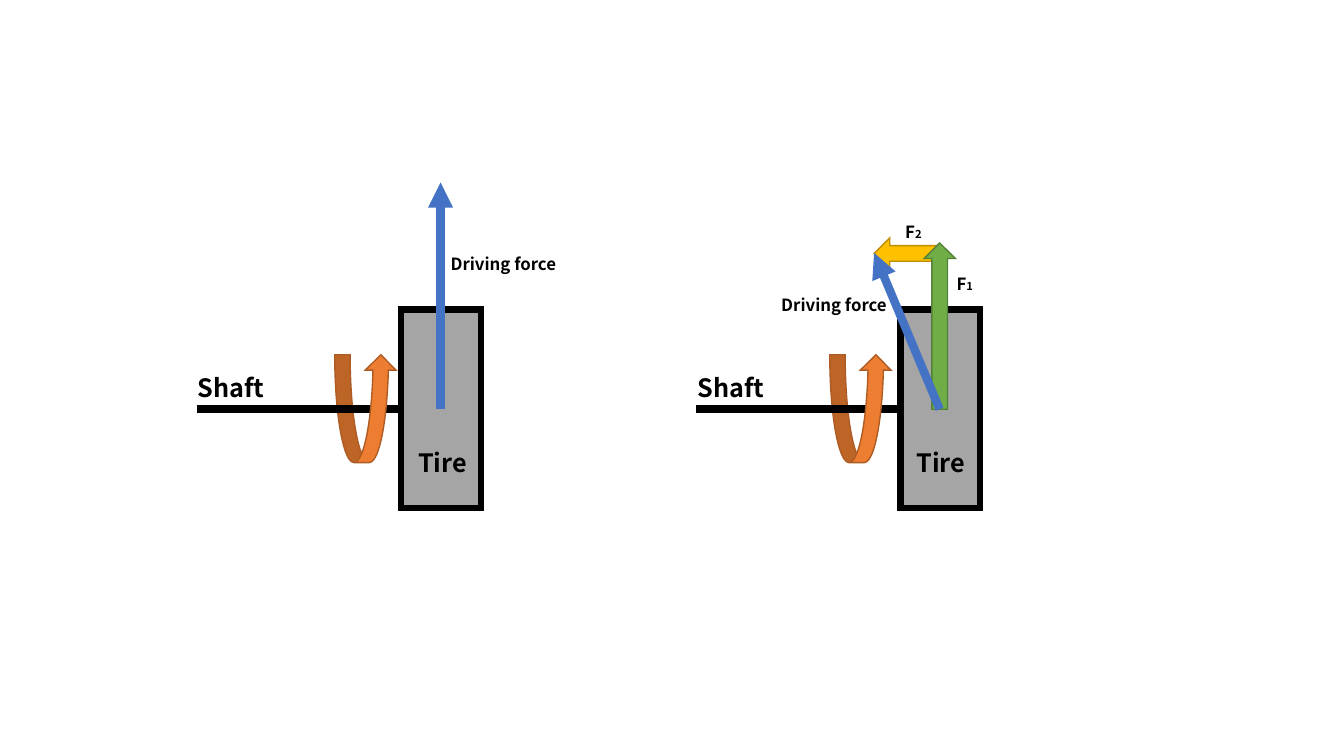
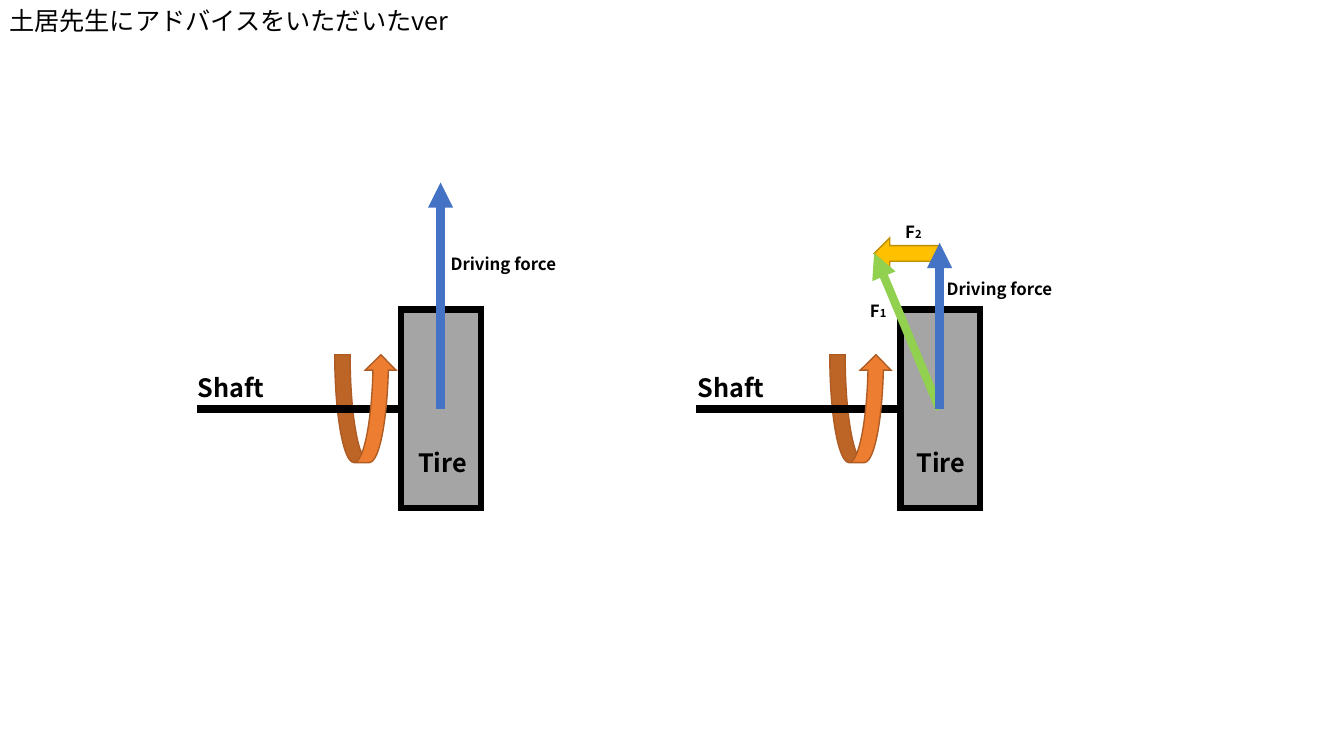
from typing import NamedTuple

from lxml.etree import SubElement
from pptx import Presentation
from pptx.dml.color import RGBColor
from pptx.enum.shapes import MSO_CONNECTOR, MSO_SHAPE
from pptx.enum.text import MSO_ANCHOR, MSO_AUTO_SIZE, PP_ALIGN
from pptx.oxml.ns import qn
from pptx.shapes.autoshape import Shape
from pptx.slide import Slide
from pptx.util import Inches, Pt

# Shared style
FONT = "Noto Sans CJK JP"
BLACK = RGBColor(0x00, 0x00, 0x00)
GRAY = RGBColor(0xA5, 0xA5, 0xA5)
BLUE = RGBColor(0x44, 0x72, 0xC4)
LIME = RGBColor(0x92, 0xD0, 0x50)
GREEN = RGBColor(0x70, 0xAD, 0x47)
DARK_GREEN = RGBColor(0x53, 0x81, 0x35)
YELLOW = RGBColor(0xFF, 0xC0, 0x00)
DARK_YELLOW = RGBColor(0xBD, 0x8E, 0x00)
ORANGE = RGBColor(0xED, 0x7D, 0x31)
DARK_ORANGE = RGBColor(0xAF, 0x5C, 0x24)

# Shared geometry, in inches
AXLE_Y = 4.06
SHAFT_LENGTH = 2.03
BLOCK_ARROW_WIDTH = 0.31


class Point(NamedTuple):
    x: float
    y: float


class Area(NamedTuple):
    left: float
    top: float
    width: float
    height: float


class Span(NamedTuple):
    text: str
    size: float


class Label(NamedTuple):
    area: Area
    spans: list[Span]


class Force(NamedTuple):
    start: Point
    tip: Point
    color: RGBColor


class Wheel(NamedTuple):
    shaft_left: float
    rotation_left: float
    shaft_label_left: float
    tire_label_left: float


LEFT_WHEEL = Wheel(1.95, 3.32, 1.86, 4.05)
RIGHT_WHEEL = Wheel(6.9, 8.23, 6.82, 8.99)

STRAIGHT_FORCE = Force(Point(4.37, AXLE_Y), Point(4.37, 1.81), BLUE)
HUB = Point(9.32, AXLE_Y)
FORWARD_TIP = Point(9.32, 2.41)
SLANTED_TIP = Point(8.67, 2.51)


def add_span(para, span: Span, bold: bool) -> None:
    run = para.add_run()
    run.text = span.text
    run.font.name = FONT
    run.font.size = Pt(span.size)
    run.font.bold = bold
    run.font.color.rgb = BLACK
    SubElement(run.font._element, qn("a:ea"), typeface=FONT)


def add_label(page: Slide, label: Label) -> None:
    box = page.shapes.add_textbox(*map(Inches, label.area))
    box.text_frame.word_wrap = False
    for span in label.spans:
        add_span(box.text_frame.paragraphs[0], span, bold=True)


def add_line(page: Slide, start: Point, end: Point,
             color: RGBColor, arrow: bool = False) -> None:
    line = page.shapes.add_connector(
        MSO_CONNECTOR.STRAIGHT, *map(Inches, (*start, *end)))
    line.line.color.rgb = color
    line.line.width = Pt(6)
    if arrow:
        SubElement(line.line._get_or_add_ln(), qn("a:tailEnd"), type="triangle")
    SubElement(line._element.spPr, qn("a:effectLst"))


def add_block(page: Slide, kind: MSO_SHAPE, area: Area, fill: RGBColor,
              outline: RGBColor, weight: float = 1) -> Shape:
    block = page.shapes.add_shape(kind, *map(Inches, area))
    block.shadow.inherit = False
    block.fill.solid()
    block.fill.fore_color.rgb = fill
    block.line.color.rgb = outline
    block.line.width = Pt(weight)
    # Sharp corners
    SubElement(block.line._get_or_add_ln(), qn("a:miter"), lim="800000")
    return block


def add_wheel(page: Slide, wheel: Wheel) -> None:
    """Draw the shaft, the tire and the rotation arrow around the shaft."""
    tire_left = wheel.shaft_left + SHAFT_LENGTH
    rotation_left = wheel.rotation_left
    add_line(page, Point(wheel.shaft_left, AXLE_Y), Point(tire_left, AXLE_Y), BLACK)
    add_block(page, MSO_SHAPE.RECTANGLE, Area(tire_left, 3.07, 0.79, 1.97),
              GRAY, BLACK, 4.5)
    rotation = add_block(page, MSO_SHAPE.CURVED_DOWN_ARROW,
                         Area(rotation_left, 3.52, 0.61, 1.07), ORANGE, DARK_ORANGE)
    rotation._element.spPr.xfrm.set("flipV", "1")
    # The shaft passes in front of the far half of the rotation arrow
    add_line(page, Point(rotation_left - 0.19, AXLE_Y),
             Point(rotation_left + 0.3, AXLE_Y), BLACK)
    add_label(page, Label(Area(wheel.tire_label_left, 4.39, 0.69, 0.4),
                          [Span("Tire", 18)]))
    add_label(page, Label(Area(wheel.shaft_label_left, 3.64, 0.91, 0.4),
                          [Span("Shaft", 18)]))


def add_side_force(page: Slide) -> None:
    add_block(page, MSO_SHAPE.LEFT_ARROW,
              Area(SLANTED_TIP.x, 2.36, HUB.x - SLANTED_TIP.x, BLOCK_ARROW_WIDTH),
              YELLOW, DARK_YELLOW)


def add_forward_force(page: Slide) -> None:
    add_block(page, MSO_SHAPE.UP_ARROW,
              Area(HUB.x - BLOCK_ARROW_WIDTH / 2, FORWARD_TIP.y,
                   BLOCK_ARROW_WIDTH, HUB.y - FORWARD_TIP.y),
              GREEN, DARK_GREEN)


def driving_label(left: float, top: float) -> Label:
    return Label(Area(left, top, 1.25, 0.3), [Span("Driving force", 12)])


def component_label(number: str, left: float, top: float) -> Label:
    return Label(Area(left, top, 0.37, 0.3), [Span("F", 12), Span(number, 8)])


def add_forces(page: Slide, forces: list[Force], labels: list[Label]) -> None:
    for force in forces:
        add_line(page, force.start, force.tip, force.color, arrow=True)
    for label in labels:
        add_label(page, label)


def add_diagrams(page: Slide, forces: list[Force], labels: list[Label],
                 block_forward: bool) -> None:
    """Draw the straight wheel on the left and the split force on the right."""
    add_wheel(page, LEFT_WHEEL)
    add_forces(page, [STRAIGHT_FORCE], [driving_label(4.37, 2.47)])

    add_wheel(page, RIGHT_WHEEL)
    add_side_force(page)
    if block_forward:
        add_forward_force(page)
    add_forces(page, forces, [*labels, component_label("2", 8.88, 2.15)])


def set_title(page: Slide, text: str) -> None:
    title = page.shapes.title
    title.left, title.top, title.width, title.height = map(Inches, (0, 0, 4.6, 0.7))
    frame = title.text_frame
    frame.margin_left = Inches(0.09)
    frame.word_wrap = True
    frame.auto_size = MSO_AUTO_SIZE.NONE
    frame.vertical_anchor = MSO_ANCHOR.TOP
    para = frame.paragraphs[0]
    para.alignment = PP_ALIGN.LEFT
    add_span(para, Span(text, 18), bold=False)


def main() -> None:
    deck = Presentation()
    deck.slide_width, deck.slide_height = Inches(13.33), Inches(7.5)
    title_only, blank = deck.slide_layouts[5], deck.slide_layouts[6]

    # Slide 1: the driving force is the slanted resultant
    page = deck.slides.add_slide(blank)
    add_diagrams(page, [Force(HUB, SLANTED_TIP, BLUE)],
                 [driving_label(7.65, 2.87), component_label("1", 9.39, 2.67)],
                 block_forward=True)

    # Slide 2: the driving force points forward, F1 is the resultant
    page = deck.slides.add_slide(title_only)
    set_title(page, "土居先生にアドバイスをいただいたver")
    add_diagrams(page,
                 [Force(HUB, SLANTED_TIP, LIME), Force(HUB, FORWARD_TIP, BLUE)],
                 [driving_label(9.29, 2.72), component_label("1", 8.53, 2.93)],
                 block_forward=False)

    deck.save("out.pptx")


if __name__ == "__main__":
    main()
